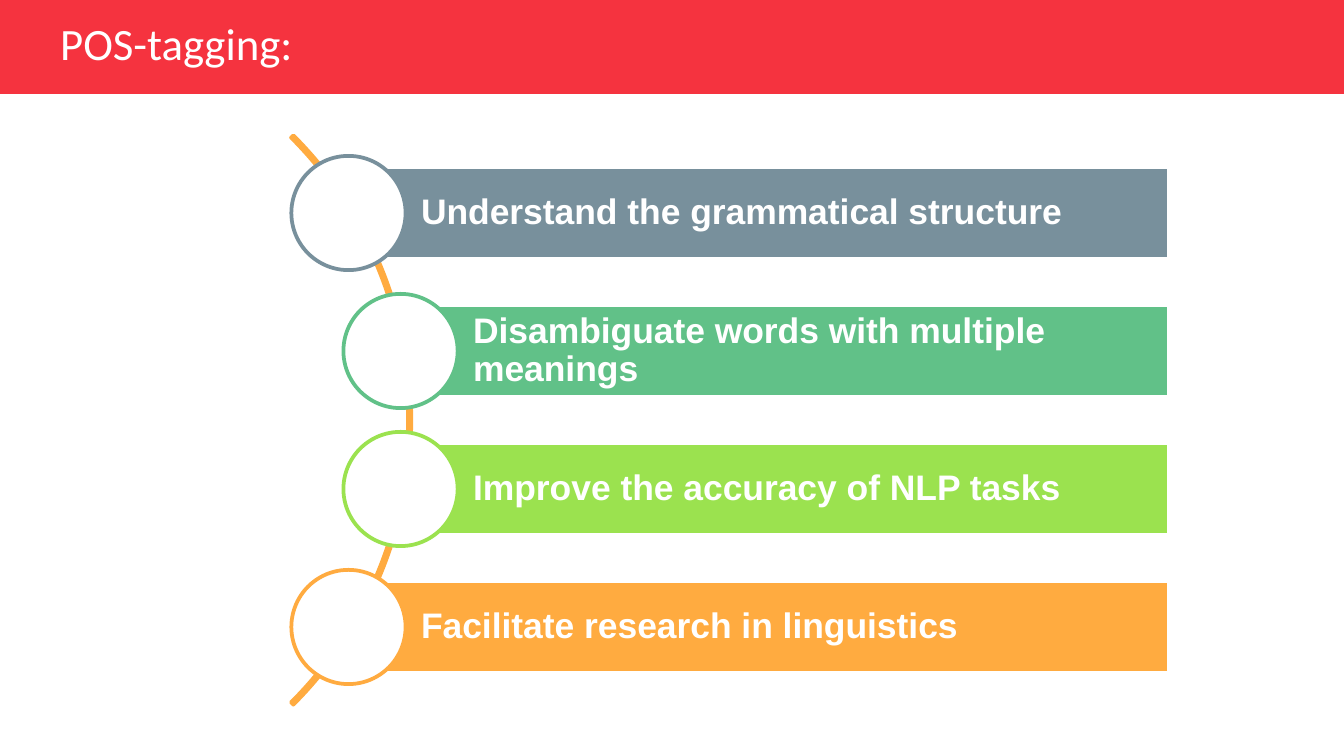
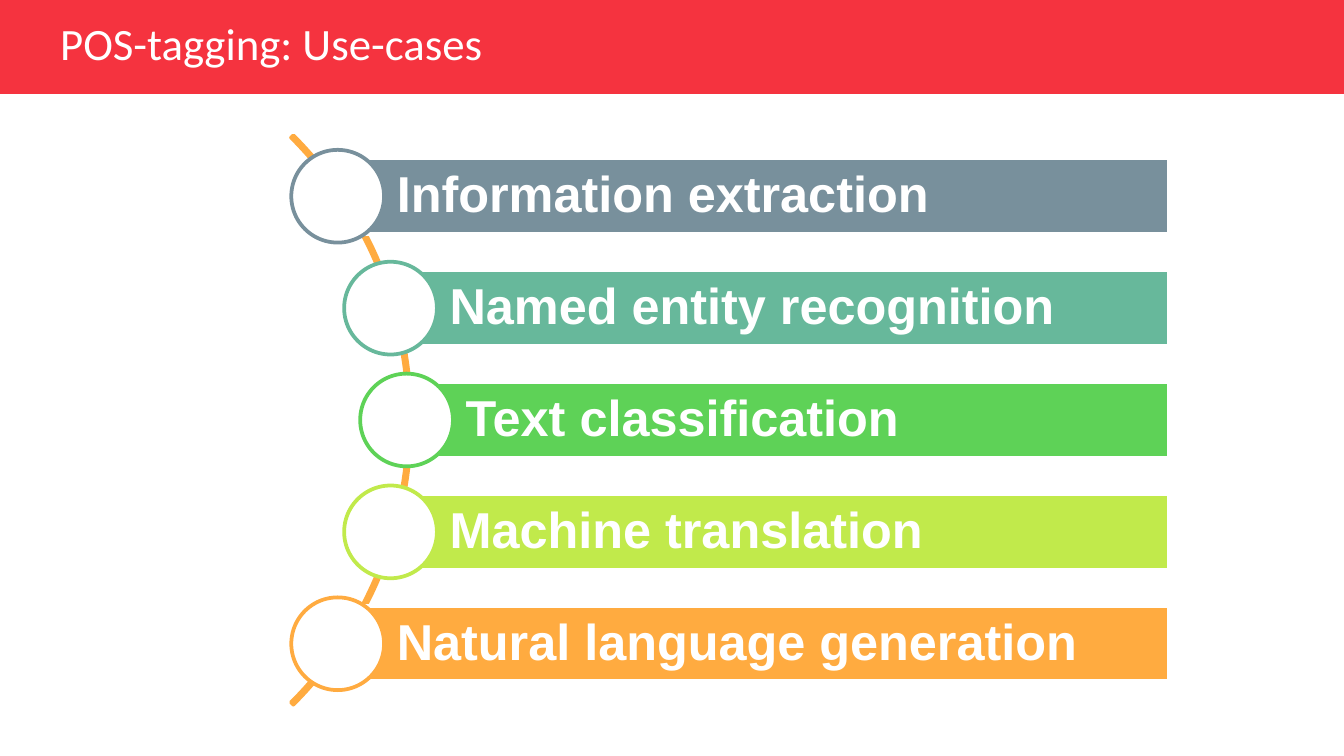
"""Builds two slides that list the goals and the use-cases of POS-tagging along an arc."""
from math import sqrt

from pptx import Presentation
from pptx.dml.color import RGBColor
from pptx.enum import shapes, text
from pptx.util import Inches, Pt

RED, WHITE, ORANGE = "F5333F", "FFFFFF", "FFAB40"

SLIDES = [
    {
        "title": "POS-tagging:",
        "items": [
            ("Understand the grammatical structure", "78909C"),
            ("Disambiguate words with multiple meanings", "61C188"),
            ("Improve the accuracy of NLP tasks", "9BE24F"),
            ("Facilitate research in linguistics", ORANGE),
        ],
        "span": 3.08, "bar_height": 0.68, "circle_size": 0.85,
        "text_indent": 0.54, "margin": 0.05, "font_size": 19,
    },
    {
        "title": "POS-tagging: Use-cases",
        "items": [
            ("Information extraction", "78909C"),
            ("Named entity recognition", "67B89B"),
            ("Text classification", "5ED257"),
            ("Machine translation", "C1EA4B"),
            ("Natural language generation", ORANGE),
        ],
        "span": 3.33, "bar_height": 0.56, "circle_size": 0.69,
        "text_indent": 0.44, "margin": 0.07, "font_size": 27,
    },
]

SLIDE_WIDTH = 10
SLIDE_HEIGHT = SLIDE_WIDTH * 9 / 16
ARC_LEFT, ARC_TOP, ARC_SIZE = -2.93, 0.13, 5.99
CENTER_X, CENTER_Y = ARC_LEFT + ARC_SIZE / 2, ARC_TOP + ARC_SIZE / 2
CIRCLE_PATH_RADIUS = 2.96
BAR_RIGHT = 8.7


def color(value):
    return RGBColor.from_string(value)


def add_shape(slide, kind, box, fill=None, line=None):
    shape = slide.shapes.add_shape(kind, *map(Inches, box))
    shape.shadow.inherit = False
    if fill:
        shape.fill.solid()
        shape.fill.fore_color.rgb = color(fill)
    else:
        shape.fill.background()
    if line:
        shape.line.color.rgb = color(line)
        shape.line.width = Pt(2)
    else:
        shape.line.fill.background()
    return shape


def write(shape, words, font_name, size, margins, bold=False):
    frame = shape.text_frame
    frame.word_wrap = True
    frame.vertical_anchor = text.MSO_ANCHOR.MIDDLE
    (frame.margin_left, frame.margin_top,
     frame.margin_right, frame.margin_bottom) = map(Inches, margins)
    paragraph = frame.paragraphs[0]
    paragraph.text = words
    paragraph.alignment = text.PP_ALIGN.LEFT
    paragraph.line_spacing = 0.9
    font = paragraph.font
    font.name, font.size, font.bold = font_name, Pt(size), bold
    font.color.rgb = color(WHITE)


def add_header(slide, title):
    add_shape(slide, shapes.MSO_SHAPE.RECTANGLE, (0, 0, SLIDE_WIDTH, 0.7), RED)
    title_box = slide.shapes.add_textbox(*map(Inches, (0.35, 0.13, 7.44, 0.42)))
    write(title_box, title, "Calibri", 24, (0.1, 0.05, 0.1, 0.05))


def add_arc(slide):
    box = (ARC_LEFT, ARC_TOP, ARC_SIZE, ARC_SIZE)
    arc = add_shape(slide, shapes.MSO_SHAPE.BLOCK_ARC, box, line=ORANGE)
    for index, value in enumerate((189, 27, 0.004)):
        arc.adjustments[index] = value


def add_items(slide, content):
    height, size, margin = content["bar_height"], content["circle_size"], content["margin"]
    step = content["span"] / (len(content["items"]) - 1)
    for index, (words, accent) in enumerate(content["items"]):
        offset = index * step - content["span"] / 2
        x = CENTER_X + sqrt(CIRCLE_PATH_RADIUS ** 2 - offset ** 2)
        y = CENTER_Y + offset
        bar = add_shape(slide, shapes.MSO_SHAPE.RECTANGLE,
                        (x, y - height / 2, BAR_RIGHT - x, height), accent, WHITE)
        write(bar, words, "Arial", content["font_size"],
              (content["text_indent"], margin, margin, margin), bold=True)
        add_shape(slide, shapes.MSO_SHAPE.OVAL,
                  (x - size / 2, y - size / 2, size, size), WHITE, accent)


def main():
    presentation = Presentation()
    presentation.slide_width = Inches(SLIDE_WIDTH)
    presentation.slide_height = Inches(SLIDE_HEIGHT)
    for content in SLIDES:
        slide = presentation.slides.add_slide(presentation.slide_layouts[6])
        add_header(slide, content["title"])
        add_arc(slide)
        add_items(slide, content)
    presentation.save("out.pptx")


if __name__ == "__main__":
    main()
